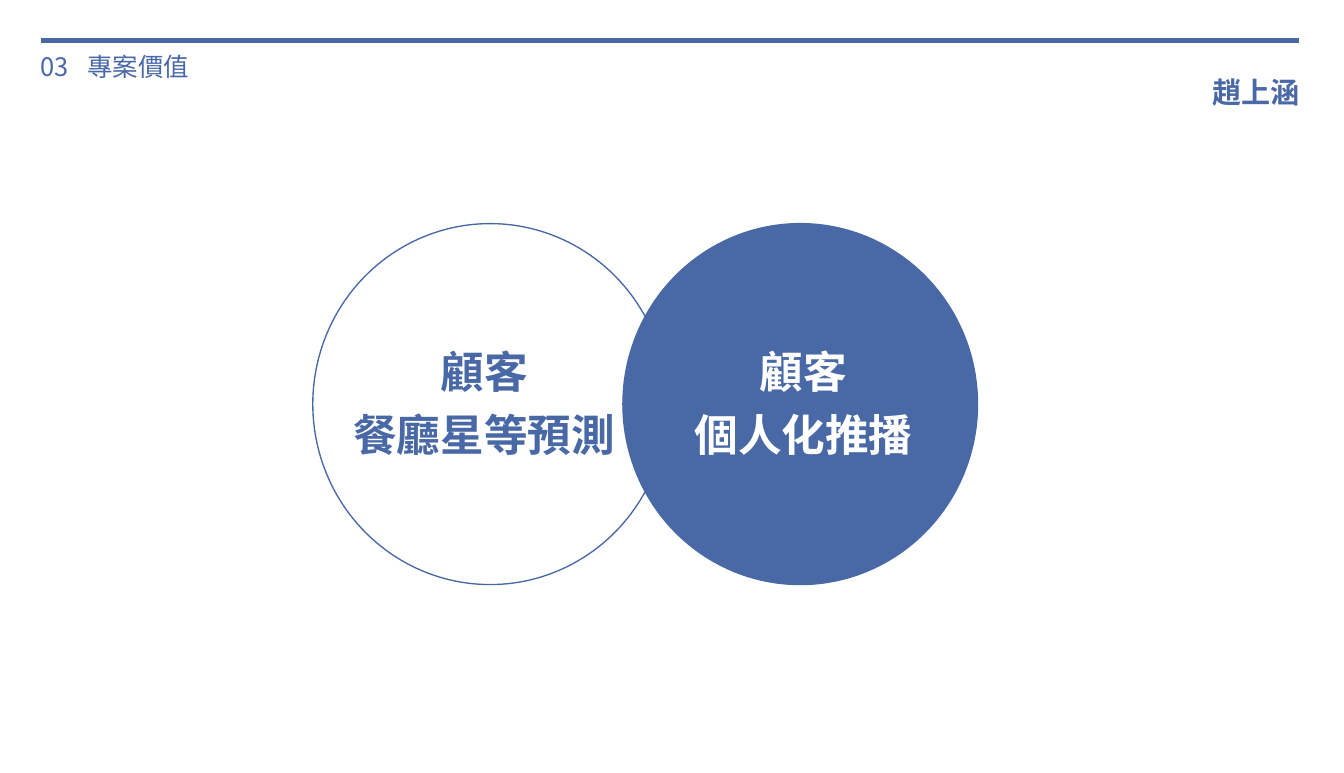
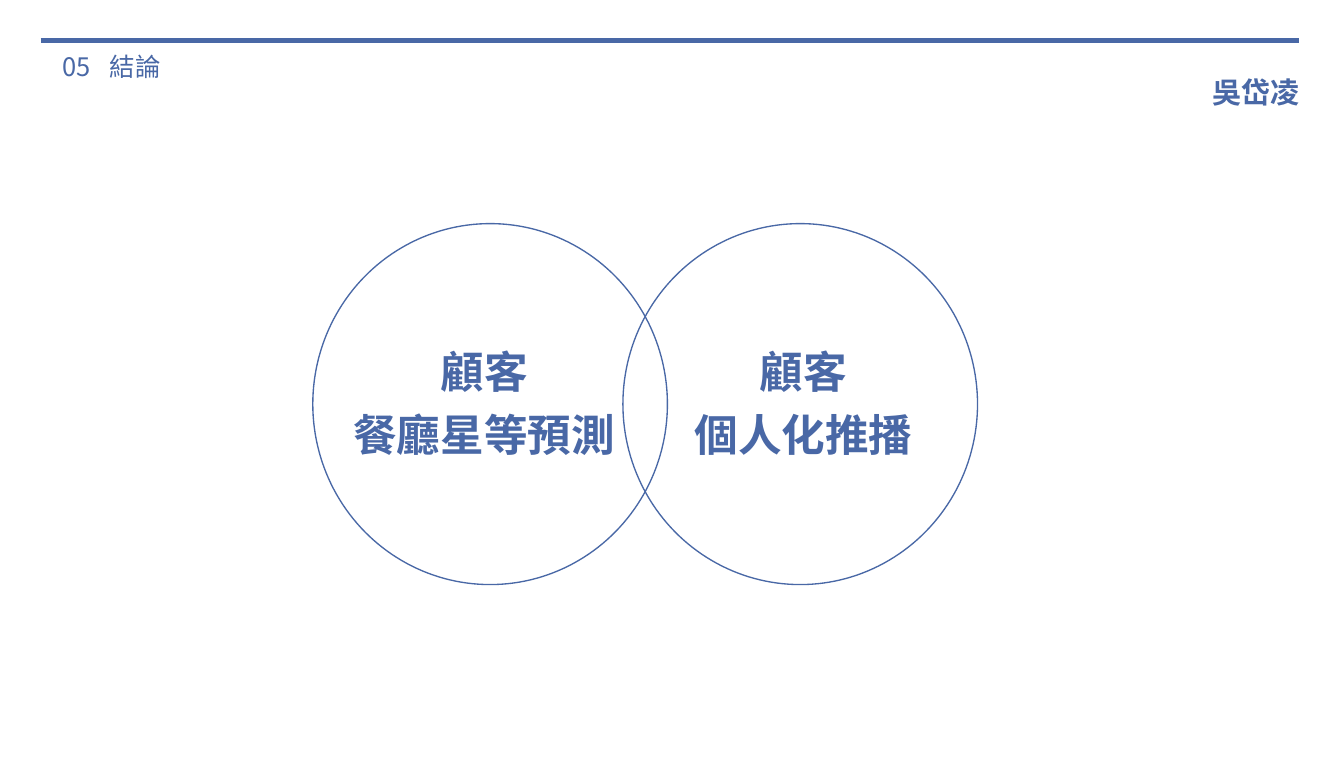
import pptx
import pptx.dml.color
import pptx.enum.shapes
import pptx.enum.text
import pptx.oxml.ns
import pptx.util
from lxml import etree

Inches = pptx.util.Inches
Align = pptx.enum.text.PP_ALIGN


def color(value):
    return pptx.dml.color.RGBColor.from_string(value)


class Deck:
    """Builds slides that share one style."""

    BLUE = "4968A6"
    WHITE = "FFFFFF"
    FONT = "Noto Sans CJK SC"
    MARGIN = 0.31
    LABEL_TAB = 0.36

    def __init__(self, width, height):
        self.presentation = pptx.Presentation()
        self.presentation.slide_width = Inches(width)
        self.presentation.slide_height = Inches(height)
        self.slide = None

    def add_slide(self, number, title, title_left, presenter):
        layout = self.presentation.slide_layouts[6]
        self.slide = self.presentation.slides.add_slide(layout)
        self.rule(self.MARGIN, 9.93, 0.31)
        self.text(f"{number}\t{title}", title_left, 0.34, 1.6, 0.34, 14,
                  align=Align.LEFT, tab=self.LABEL_TAB)
        self.text(presenter, 9.05, 0.52, 1.1, 0.37, 16, bold=True)

    def rule(self, left, right, top):
        connector = self.slide.shapes.add_connector(
            pptx.enum.shapes.MSO_CONNECTOR.STRAIGHT,
            Inches(left), Inches(top), Inches(right), Inches(top))
        connector.line.color.rgb = color(self.BLUE)
        connector.line.width = pptx.util.Pt(3)
        properties = connector._element.spPr
        etree.SubElement(properties, pptx.oxml.ns.qn("a:effectLst"))

    def circle(self, left, filled=False):
        shape = self.slide.shapes.add_shape(
            pptx.enum.shapes.MSO_SHAPE.OVAL,
            Inches(left), Inches(1.71), Inches(2.71), Inches(2.76))
        shape.shadow.inherit = False
        if filled:
            shape.fill.solid()
            shape.fill.fore_color.rgb = color(self.BLUE)
        else:
            shape.fill.background()
        shape.line.color.rgb = color(self.BLUE)
        shape.line.width = pptx.util.Pt(0.75)

    def text(self, content, left, top, width, height, size, bold=False,
             ink=BLUE, align=Align.CENTER, spacing=None, tab=None):
        box = self.slide.shapes.add_textbox(
            Inches(left), Inches(top), Inches(width), Inches(height))
        frame = box.text_frame
        frame.word_wrap = True
        frame.auto_size = pptx.enum.text.MSO_AUTO_SIZE.SHAPE_TO_FIT_TEXT
        paragraph = frame.paragraphs[0]
        paragraph.text = content
        paragraph.alignment = align
        if spacing:
            paragraph.line_spacing = spacing
        if tab:
            properties = paragraph._p.get_or_add_pPr()
            tabs = etree.SubElement(properties, pptx.oxml.ns.qn("a:tabLst"))
            etree.SubElement(tabs, pptx.oxml.ns.qn("a:tab"),
                             pos=str(Inches(tab)), algn="l")
        font = paragraph.font
        font.size = pptx.util.Pt(size)
        font.bold = bold
        font.color.rgb = color(ink)
        font.name = self.FONT
        east_asian = etree.Element(pptx.oxml.ns.qn("a:ea"), typeface=self.FONT)
        font._element.find(pptx.oxml.ns.qn("a:latin")).addnext(east_asian)

    def overlapping_circles(self, right_filled):
        self.circle(2.39)
        self.circle(4.76, filled=right_filled)
        right_ink = self.WHITE if right_filled else self.BLUE
        captions = [
            ("顧客\n餐廳星等預測", 2.39, 2.62, self.BLUE),
            ("顧客\n個人化推播", 4.98, 2.32, right_ink),
        ]
        for content, left, width, ink in captions:
            self.text(content.replace("\n", "\v"), left, 2.51, width, 1.06,
                      24, bold=True, ink=ink, spacing=1.2)


def main():
    deck = Deck(10.27, 5.91)
    deck.add_slide("03", "專案價值", 0.21, "趙上涵")
    deck.overlapping_circles(right_filled=True)
    deck.add_slide("05", "結論", 0.38, "吳岱凌")
    deck.overlapping_circles(right_filled=False)
    deck.presentation.save("out.pptx")


if __name__ == "__main__":
    main()
